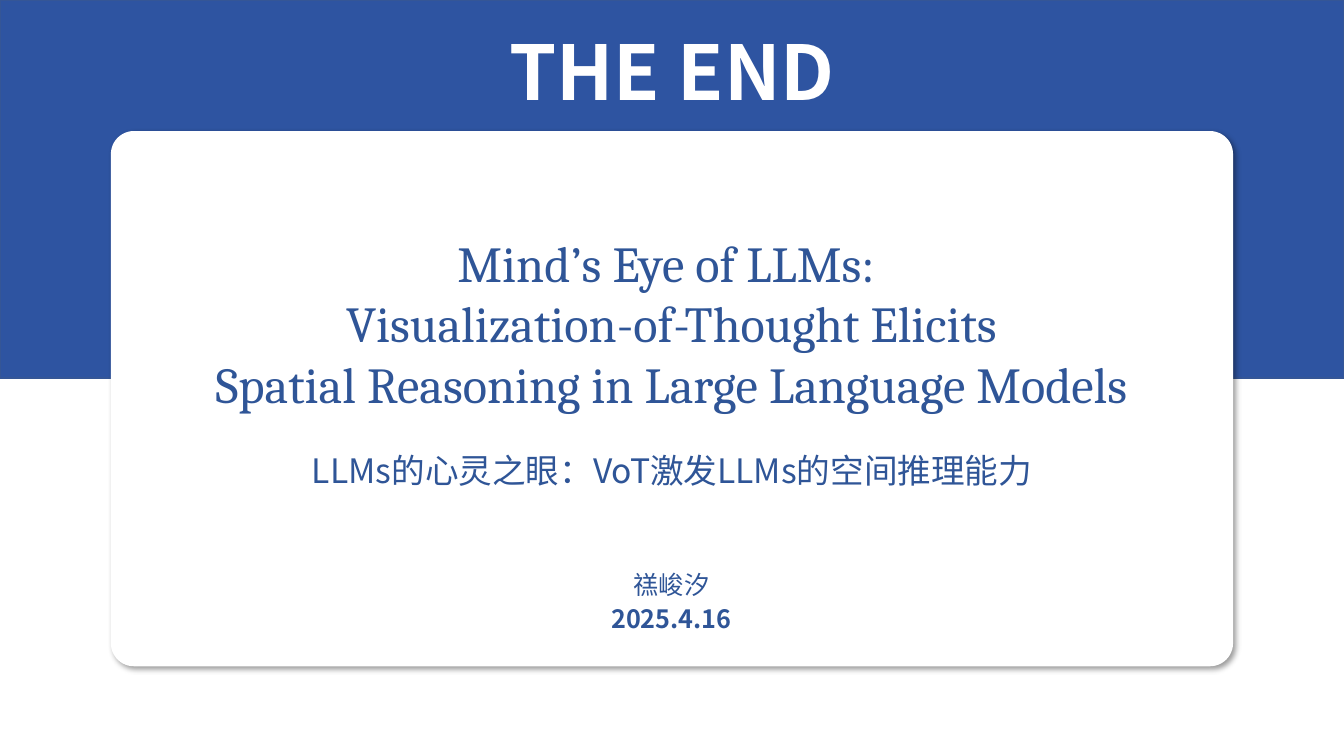
import pptx
import pptx.dml.color
import pptx.enum.shapes
import pptx.enum.text
import pptx.oxml
import pptx.oxml.ns
import pptx.util
from lxml import etree

Inches = pptx.util.Inches
Pt = pptx.util.Pt
HUES = {"band": "2E54A1", "edge": "355696", "ink": "2F5597", "white": "FFFFFF", "shade": "000000"}
SANS = "Noto Sans CJK SC"
SERIF = "Cambria"


def hue(name):
    """Return the named colour."""
    return pptx.dml.color.RGBColor.from_string(HUES[name])


def panel(slide, kind, box, fill):
    """Add a plain filled shape without an outline."""
    shape = slide.shapes.add_shape(kind, *map(Inches, box))
    shape.shadow.inherit = False
    shape.fill.solid()
    shape.fill.fore_color.rgb = hue(fill)
    shape.line.fill.background()
    return shape


def shade(shape):
    """Give a shape a soft shadow to the lower right."""
    props = shape.element.spPr
    fx = props.find(pptx.oxml.ns.qn("a:effectLst"))
    drop = etree.SubElement(
        fx, pptx.oxml.ns.qn("a:outerShdw"), blurRad=str(Pt(4)), dist=str(Pt(3)),
        dir=str(45 * 60000), algn="tl", rotWithShape="0")
    tint = etree.SubElement(drop, pptx.oxml.ns.qn("a:srgbClr"), val=HUES["shade"])
    etree.SubElement(tint, pptx.oxml.ns.qn("a:alpha"), val="40000")


def write(shape, lines, size, font, tone, space=1.0):
    """Fill a text shape with centred lines of (text, bold)."""
    frame = shape.text_frame
    frame.word_wrap = True
    frame.auto_size = pptx.enum.text.MSO_AUTO_SIZE.SHAPE_TO_FIT_TEXT
    frame.vertical_anchor = pptx.enum.text.MSO_ANCHOR.TOP
    for i, (text, bold) in enumerate(lines):
        para = frame.paragraphs[0] if i == 0 else frame.add_paragraph()
        para.alignment = pptx.enum.text.PP_ALIGN.CENTER
        para.line_spacing = space
        run = para.add_run()
        run.text = text
        run.font.size = Pt(size)
        run.font.bold = bold
        run.font.name = font
        run.font.color.rgb = hue(tone)
        east = etree.SubElement(run.font._element, pptx.oxml.ns.qn("a:ea"))
        east.set("typeface", font)


def note(slide, box, lines, size, font, space=1.0):
    """Add a text box in the ink colour."""
    shape = slide.shapes.add_textbox(*map(Inches, box))
    write(shape, lines, size, font, "ink", space)


def head(slide, box):
    """Draw the top band and its title."""
    left, top, width, height = box
    band = panel(slide, pptx.enum.shapes.MSO_SHAPE.RECTANGLE, box, "band")
    band.line.color.rgb = hue("edge")
    band.line.width = Pt(1)
    title = slide.shapes.title
    title.left, title.top = Inches(left + 2.72), Inches(top + 0.2)
    title.width, title.height = Inches(7.89), Inches(1.01)
    write(title, [("THE END", True)], 54, SANS, "white")
    slide.shapes.element.append(title.element)


def card(slide, box):
    """Draw the card with the paper's name, its translation and the author."""
    left, top, width, height = box
    base = panel(slide, pptx.enum.shapes.MSO_SHAPE.ROUNDED_RECTANGLE, box, "white")
    base.adjustments[0] = 0.043
    shade(base)
    note(slide, (left + 0.52, top + 4.25, 10.08, 0.8),
         [("禚峻汐", False), ("2025.4.16", True)], 18, SANS, 1.15)
    note(slide, (left + 0.28, top + 0.95, 10.56, 1.92),
         [("Mind’s Eye of LLMs: ", False),
          ("Visualization-of-Thought Elicits", False),
          ("Spatial Reasoning in Large Language Models", False)], 36, SERIF)
    note(slide, (left + 0.42, top + 3.05, 10.29, 0.56),
         [("LLMs的心灵之眼：VoT激发LLMs的空间推理能力", False)], 24, SANS, 1.15)


def main():
    """Build and save the closing slide."""
    deck = pptx.Presentation()
    deck.slide_width, deck.slide_height = Inches(13.33), Inches(7.5)
    slide = deck.slides.add_slide(deck.slide_layouts[5])
    slide.background.fill.solid()
    slide.background.fill.fore_color.rgb = hue("white")
    head(slide, (0, 0, 13.33, 3.75))
    card(slide, (1.1, 1.3, 11.13, 5.31))
    deck.save("out.pptx")


if __name__ == "__main__":
    main()
